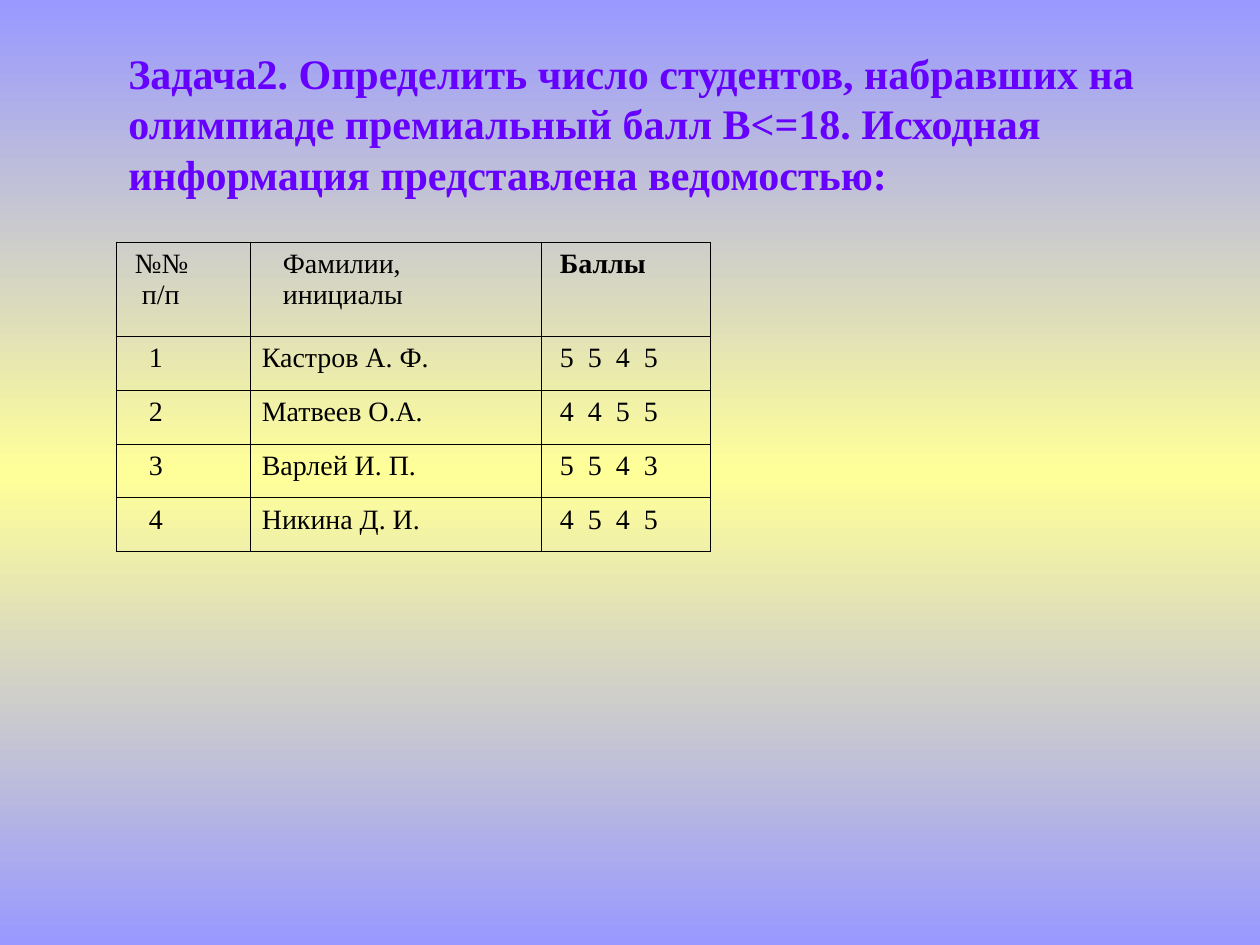
from copy import deepcopy
from dataclasses import dataclass

from lxml import etree
from pptx import Presentation
from pptx.dml.color import RGBColor
from pptx.enum.text import MSO_ANCHOR
from pptx.oxml.ns import qn
from pptx.slide import Slide
from pptx.table import _Cell
from pptx.text.text import _Paragraph
from pptx.util import Emu, Pt

MIDDLE = MSO_ANCHOR.MIDDLE
EMU_PER_PX = 914400 // 126


@dataclass(frozen=True)
class Theme:
    font: str = "Times New Roman"
    title_size: float = 24
    table_size: float = 16
    border_width: float = 0.45
    title: str = "6600FF"
    text: str = "000000"
    border: str = "000000"
    edge: str = "9999FF"
    middle: str = "FFFF99"


@dataclass(frozen=True)
class CellText:
    text: str
    inset: int
    bold: bool = False
    next_indent: int = 0  # extra indent of the lines after the first
    tab_step: int = 0


THEME = Theme()
TITLE = ("Задача2. Определить число студентов, набравших на олимпиаде "
         "премиальный балл В<=18. Исходная информация представлена ведомостью:")
HEADER = [
    CellText("№№\nп/п", 19, next_indent=7),
    CellText("Фамилии,\nинициалы", 33),
    CellText("Баллы", 19, bold=True),
]
STUDENTS = [
    ("Кастров А. Ф.", (5, 5, 4, 5)),
    ("Матвеев О.А.", (4, 4, 5, 5)),
    ("Варлей И. П.", (5, 5, 4, 3)),
    ("Никина Д. И.", (4, 5, 4, 5)),
]
COLUMN_WIDTHS = [134, 291, 169]
HEADER_HEIGHT, ROW_HEIGHT = 94, 54


def px(length: int) -> Emu:
    return Emu(length * EMU_PER_PX)


def style(para: _Paragraph, size: float, color: str, bold: bool) -> None:
    for span in para.runs:
        span.font.name = THEME.font
        span.font.size = Pt(size)
        span.font.bold = bold
        span.font.color.rgb = RGBColor.from_string(color)


def paint_background(slide: Slide) -> None:
    fill = slide.background.fill
    fill.gradient()
    fill.gradient_angle = 90
    first = fill.gradient_stops[0]._gs
    first.addnext(deepcopy(first))
    colors = (THEME.edge, THEME.middle, THEME.edge)
    for stop, color, position in zip(fill.gradient_stops, colors, (0, 0.5, 1)):
        stop.color.rgb = RGBColor.from_string(color)
        stop.position = position


def add_title(slide: Slide) -> None:
    box = slide.shapes.add_textbox(px(116), px(47), px(1071), px(152))
    frame = box.text_frame
    frame.word_wrap = True
    frame.vertical_anchor = MIDDLE
    frame.text = TITLE
    style(frame.paragraphs[0], THEME.title_size, THEME.title, True)


def add_borders(cell: _Cell) -> None:
    properties = cell._tc.get_or_add_tcPr()
    for index, side in enumerate(("lnL", "lnR", "lnT", "lnB")):
        line = etree.Element(qn(f"a:{side}"), w=str(Pt(THEME.border_width)))
        solid = etree.SubElement(line, qn("a:solidFill"))
        etree.SubElement(solid, qn("a:srgbClr"), val=THEME.border)
        properties.insert(index, line)


def add_tabs(para: _Paragraph, step: int, count: int) -> None:
    tabs = etree.SubElement(para._p.get_or_add_pPr(), qn("a:tabLst"))
    for number in range(1, count + 1):
        etree.SubElement(tabs, qn("a:tab"), pos=str(px(step * number)), algn="l")


def fill_cell(cell: _Cell, content: CellText) -> None:
    cell.fill.background()
    add_borders(cell)
    cell.margin_left = px(content.inset)
    cell.text_frame.text = content.text
    for index, para in enumerate(cell.text_frame.paragraphs):
        if index and content.next_indent:
            para._p.get_or_add_pPr().set("marL", str(px(content.next_indent)))
        if content.tab_step:
            add_tabs(para, content.tab_step, content.text.count("\t"))
        style(para, THEME.table_size, THEME.text, content.bold)


def add_score_table(slide: Slide) -> None:
    rows = [HEADER] + [
        [CellText(str(number), 33), CellText(name, 12),
         CellText("\t".join(map(str, scores)), 19, tab_step=28)]
        for number, (name, scores) in enumerate(STUDENTS, 1)
    ]
    heights = [HEADER_HEIGHT] + [ROW_HEIGHT] * len(STUDENTS)
    table = slide.shapes.add_table(
        len(rows), len(COLUMN_WIDTHS), px(116), px(242),
        px(sum(COLUMN_WIDTHS)), px(sum(heights))).table
    table.first_row = table.horz_banding = False
    for column, width in zip(table.columns, COLUMN_WIDTHS):
        column.width = px(width)
    for row, height, contents in zip(table.rows, heights, rows):
        row.height = px(height)
        for cell, content in zip(row.cells, contents):
            fill_cell(cell, content)


def main() -> None:
    deck = Presentation()
    deck.slide_width, deck.slide_height = px(1260), px(945)
    slide = deck.slides.add_slide(deck.slide_layouts[6])
    paint_background(slide)
    add_title(slide)
    add_score_table(slide)
    deck.save("out.pptx")


if __name__ == "__main__":
    main()
